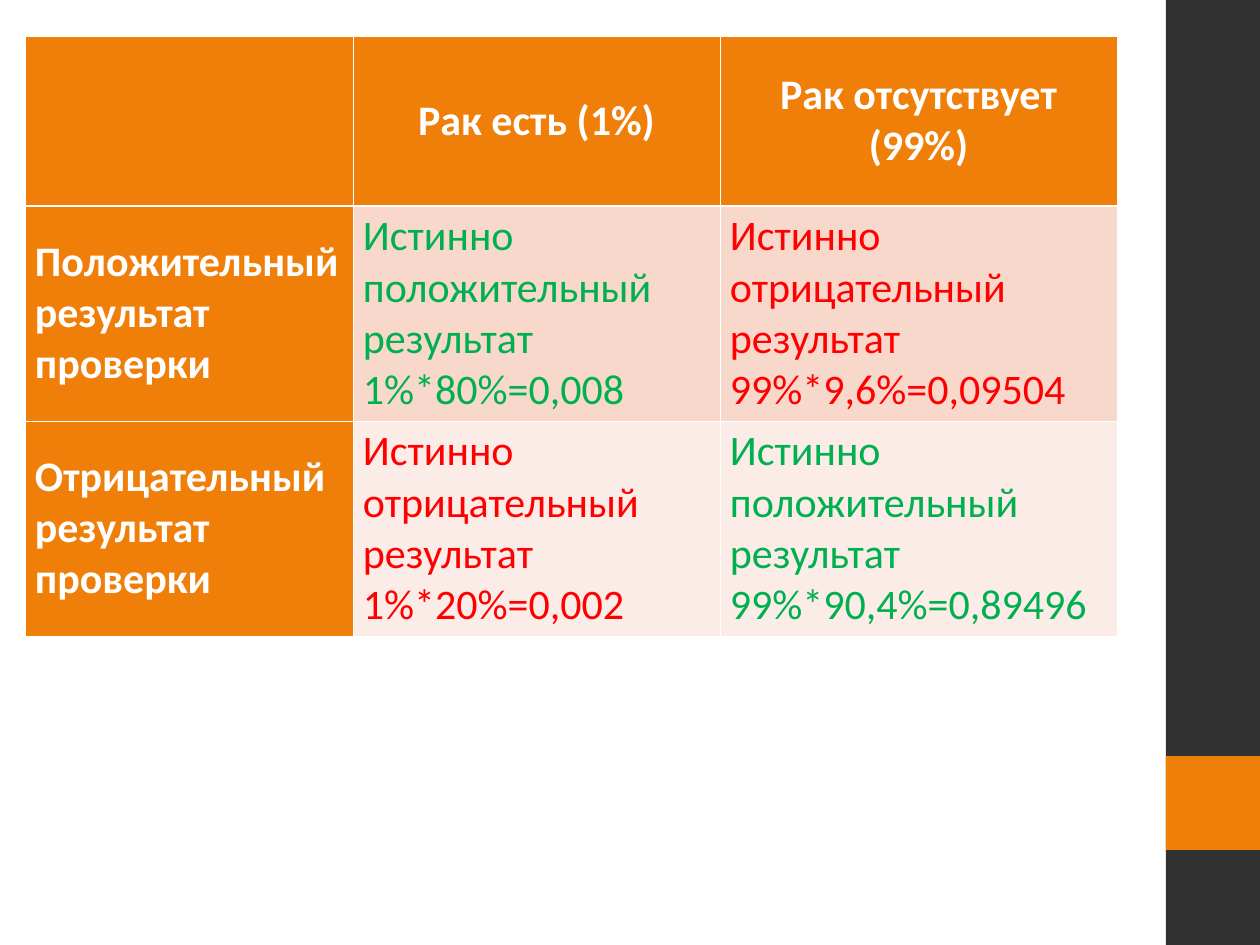
from lxml.etree import SubElement
from pptx import Presentation
from pptx.dml.color import RGBColor
from pptx.enum.shapes import MSO_SHAPE
from pptx.enum.text import MSO_ANCHOR, PP_ALIGN
from pptx.oxml.ns import qn
from pptx.util import Emu, Pt

PX_PER_INCH = 126
FONT = "Calibri"
COLORS = {
    "white": "FFFFFF",
    "dark": "323232",
    "orange": "F07F09",
    "band": "F9D8CC",
    "light_band": "FCECE7",
    "correct": "00B050",
    "wrong": "FF0000",
}
COLUMN_WIDTHS = [328, 367, 397]
ROW_HEIGHTS = [170, 202, 202]
ROW_FILLS = ["orange", "band", "light_band"]
TABLE_TEXT = [
    ["", "Рак есть (1%)", "Рак отсутствует (99%)"],
    [
        "Положительный результат проверки",
        "Истинно положительный результат\n1%*80%=0,008",
        "Истинно отрицательный результат\n99%*9,6%=0,09504",
    ],
    [
        "Отрицательный результат проверки",
        "Истинно отрицательный результат\n1%*20%=0,002",
        "Истинно положительный результат\n99%*90,4%=0,89496",
    ],
]


def px(length):
    return Emu(round(length * 914400 / PX_PER_INCH))


def color(name):
    return RGBColor.from_string(COLORS[name])


def add_block(page, left, top, width, height, fill):
    block = page.shapes.add_shape(
        MSO_SHAPE.RECTANGLE, px(left), px(top), px(width), px(height)
    )
    block.shadow.inherit = False
    block.fill.solid()
    block.fill.fore_color.rgb = color(fill)
    block.line.fill.background()


def set_borders(cell, widths):
    """Draw white borders; widths maps each side, in L R T B order, to points."""
    properties = cell._tc.get_or_add_tcPr()
    for side, width in widths.items():
        line = SubElement(properties, qn(f"a:ln{side}"), w=str(Pt(width)))
        fill = SubElement(line, qn("a:solidFill"))
        SubElement(fill, qn("a:srgbClr"), val=COLORS["white"])


def fill_cell(cell, text, fill, text_color, bold, alignment):
    cell.fill.solid()
    cell.fill.fore_color.rgb = color(fill)
    cell.vertical_anchor = MSO_ANCHOR.MIDDLE
    cell.margin_left = cell.margin_right = px(10)
    cell.margin_top = cell.margin_bottom = px(5)
    cell.text_frame.text = text
    for paragraph in cell.text_frame.paragraphs:
        paragraph.alignment = alignment
        font = paragraph.font
        font.name, font.size, font.bold = FONT, Pt(24), bold
        font.color.rgb = color(text_color)
        for span in paragraph.runs:
            span.font.name, span.font.size, span.font.bold = FONT, Pt(24), bold
            span.font.color.rgb = color(text_color)


def add_results_table(page, left, top):
    table = page.shapes.add_table(
        len(ROW_HEIGHTS), len(COLUMN_WIDTHS), px(left), px(top),
        px(sum(COLUMN_WIDTHS)), px(sum(ROW_HEIGHTS)),
    ).table
    table.first_col = True
    table.horz_banding = False
    for column, width in zip(table.columns, COLUMN_WIDTHS):
        column.width = px(width)
    for row, height in zip(table.rows, ROW_HEIGHTS):
        row.height = px(height)

    for r, texts in enumerate(TABLE_TEXT):
        for c, text in enumerate(texts):
            cell = table.cell(r, c)
            heading = r == 0 or c == 0
            if heading:
                fill, text_color = "orange", "white"
            else:
                fill = ROW_FILLS[r]
                text_color = "correct" if r == c else "wrong"
            set_borders(cell, {
                "L": 0.45,
                "R": 0.45,
                "T": 1.47 if r == 1 else 0.45,
                "B": 1.47 if r == 0 else 0.45,
            })
            alignment = PP_ALIGN.CENTER if r == 0 else PP_ALIGN.JUSTIFY
            fill_cell(cell, text, fill, text_color, heading, alignment)


def main():
    deck = Presentation()
    deck.slide_width, deck.slide_height = px(1260), px(945)
    page = deck.slides.add_slide(deck.slide_layouts[6])
    page.background.fill.solid()
    page.background.fill.fore_color.rgb = color("white")
    add_block(page, 1166, 0, 94, 945, "dark")
    add_block(page, 1166, 756, 94, 94, "orange")
    add_results_table(page, 25, 36)
    deck.save("out.pptx")


if __name__ == "__main__":
    main()
